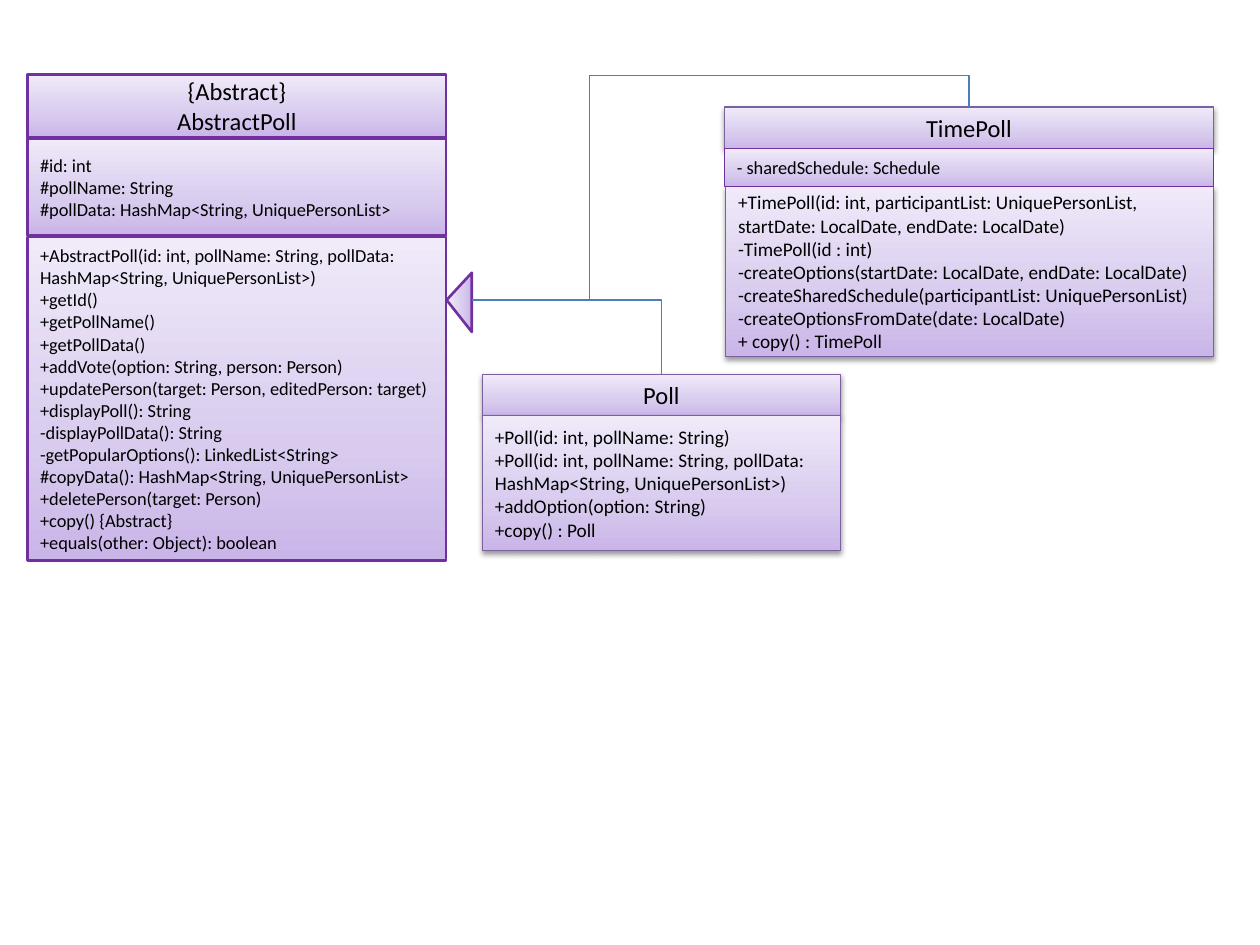
from dataclasses import dataclass

import pptx
import pptx.dml.color
import pptx.enum.shapes
import pptx.enum.text
import pptx.oxml
import pptx.oxml.ns
import pptx.util
from lxml import etree

Inches = pptx.util.Inches
Pt = pptx.util.Pt
RGB = pptx.dml.color.RGBColor
Kind = pptx.enum.shapes.MSO_SHAPE
Align = pptx.enum.text.PP_ALIGN
qn = pptx.oxml.ns.qn

BLACK = RGB(0x00, 0x00, 0x00)
PURPLE = RGB(0x70, 0x30, 0xA0)
MAUVE = RGB(0x7D, 0x60, 0xA0)
BLUE = RGB(0x4B, 0x7E, 0xBC)
STOPS = (
    (0, RGB(0xC9, 0xB5, 0xE8)),
    (35, RGB(0xD8, 0xCB, 0xEE)),
    (100, RGB(0xF0, 0xEA, 0xF9)),
)
SPACE = pptx.oxml.ns.nsdecls("a")


@dataclass
class Part:
    """One compartment of a class box."""
    left: float
    top: float
    width: float
    height: float
    size: float
    lines: list[str]
    color: RGB = PURPLE
    weight: float = 0.75
    shade: bool = False
    title: bool = False


@dataclass
class Link:
    """A bent line from the arrowhead to a child class."""
    end: tuple[float, float]
    preset: str
    bends: tuple[int, ...] = ()


# Class boxes, each listed from title to methods
PARTS = [
    Part(0.22, 0.59, 3.32, 0.5, 14, ["{Abstract}", "AbstractPoll"],
         weight=1.5, title=True),
    Part(0.22, 1.1, 3.32, 0.77, 10.5, [
        "#id: int",
        "#pollName: String",
        "#pollData: HashMap<String, UniquePersonList>",
    ], weight=1.5),
    Part(0.22, 1.88, 3.32, 2.57, 10.5, [
        "+AbstractPoll(id: int, pollName: String, pollData: "
        "HashMap<String, UniquePersonList>)",
        "+getId()",
        "+getPollName()",
        "+getPollData()",
        "+addVote(option: String, person: Person)",
        "+updatePerson(target: Person, editedPerson: target)",
        "+displayPoll(): String",
        "-displayPollData(): String",
        "-getPopularOptions(): LinkedList<String>",
        "#copyData(): HashMap<String, UniquePersonList>",
        "+deletePerson(target: Person)",
        "+copy() {Abstract}",
        "+equals(other: Object): boolean",
    ], weight=1.5),
    Part(3.83, 2.97, 2.84, 0.33, 14, ["Poll"], MAUVE, shade=True, title=True),
    Part(3.83, 3.3, 2.84, 1.07, 11, [
        "+Poll(id: int, pollName: String)",
        "+Poll(id: int, pollName: String, pollData: "
        "HashMap<String, UniquePersonList>)",
        "+addOption(option: String)",
        "+copy() : Poll",
    ], MAUVE, shade=True),
    Part(5.75, 0.85, 3.88, 0.33, 14, ["TimePoll"], MAUVE, shade=True, title=True),
    Part(5.76, 1.48, 3.87, 1.35, 11, [
        "+TimePoll(id: int, participantList: UniquePersonList,",
        "startDate: LocalDate, endDate: LocalDate)",
        "-TimePoll(id : int)",
        "-createOptions(startDate: LocalDate, endDate: LocalDate)",
        "-createSharedSchedule(participantList: UniquePersonList)",
        "-createOptionsFromDate(date: LocalDate)",
        "+ copy() : TimePoll",
    ], MAUVE, shade=True),
    Part(5.75, 1.18, 3.88, 0.3, 10.5, ["- sharedSchedule: Schedule"]),
]

START = (3.75, 2.38)
LINKS = [
    Link((5.25, 2.97), "bentConnector2"),
    Link((7.69, 0.85), "bentConnector4", (23600, 116300)),
]


def apply(target: object, values: dict) -> None:
    for name, value in values.items():
        setattr(target, name, value)


def paint(shape, color: RGB, weight: float, shade: bool = False) -> None:
    """Give a shape the purple gradient, an outline and maybe a shadow."""
    shape.fill.gradient()
    grad = shape.fill._fill._gradFill
    for child in list(grad):
        grad.remove(child)
    stops = "".join(
        f'<a:gs pos="{spot * 1000}"><a:srgbClr val="{tone}"/></a:gs>'
        for spot, tone in STOPS)
    grad.append(pptx.oxml.parse_xml(f"<a:gsLst {SPACE}>{stops}</a:gsLst>"))
    grad.append(pptx.oxml.parse_xml(f'<a:lin {SPACE} ang="16200000" scaled="1"/>'))
    shape.line.color.rgb = color
    shape.line.width = Pt(weight)
    shape.shadow.inherit = False
    if shade:
        shape._element.spPr.find(qn("a:effectLst")).append(pptx.oxml.parse_xml(
            f'<a:outerShdw {SPACE} blurRad="{Pt(3.1)}" dist="{Pt(1.6)}" '
            'dir="5400000" rotWithShape="0"><a:srgbClr val="000000">'
            '<a:alpha val="38000"/></a:srgbClr></a:outerShdw>'))


def draw_part(shapes, part: Part) -> None:
    box = shapes.add_shape(Kind.RECTANGLE, Inches(part.left), Inches(part.top),
                           Inches(part.width), Inches(part.height))
    paint(box, part.color, part.weight, part.shade)
    frame = box.text_frame
    apply(frame, {"word_wrap": True, "text": "\n".join(part.lines),
                  "vertical_anchor": pptx.enum.text.MSO_ANCHOR.MIDDLE})
    for para in frame.paragraphs:
        para.alignment = Align.CENTER if part.title else Align.LEFT
        font = para.runs[0].font
        apply(font, {"name": "Calibri", "size": Pt(part.size)})
        font.color.rgb = BLACK


def draw_link(shapes, link: Link) -> None:
    line = shapes.add_connector(
        pptx.enum.shapes.MSO_CONNECTOR.ELBOW,
        *(Inches(value) for value in START + link.end))
    line.line.color.rgb = BLUE
    line.line.width = Pt(0.75)
    props = line._element.spPr
    etree.SubElement(props, qn("a:effectLst"))
    geom = props.find(qn("a:prstGeom"))
    geom.set("prst", link.preset)
    guides = geom.find(qn("a:avLst"))
    if guides is None:
        guides = etree.SubElement(geom, qn("a:avLst"))
    for rank, bend in enumerate(link.bends, 1):
        etree.SubElement(guides, qn("a:gd"), name=f"adj{rank}", fmla=f"val {bend}")


deck = pptx.Presentation()
apply(deck, {"slide_width": Inches(10), "slide_height": Inches(7.5)})
shapes = deck.slides.add_slide(deck.slide_layouts[6]).shapes

# Inheritance arrowhead, pointing left
head = shapes.add_shape(Kind.ISOSCELES_TRIANGLE, Inches(3.41), Inches(2.3),
                        Inches(0.47), Inches(0.2))
head.adjustments[0] = 0.46
head.rotation = 90
head._element.spPr.find(qn("a:xfrm")).set("flipV", "1")
paint(head, PURPLE, 1.5)

# Classes and the lines between them
for part in PARTS:
    draw_part(shapes, part)
for link in LINKS:
    draw_link(shapes, link)

deck.save("out.pptx")
